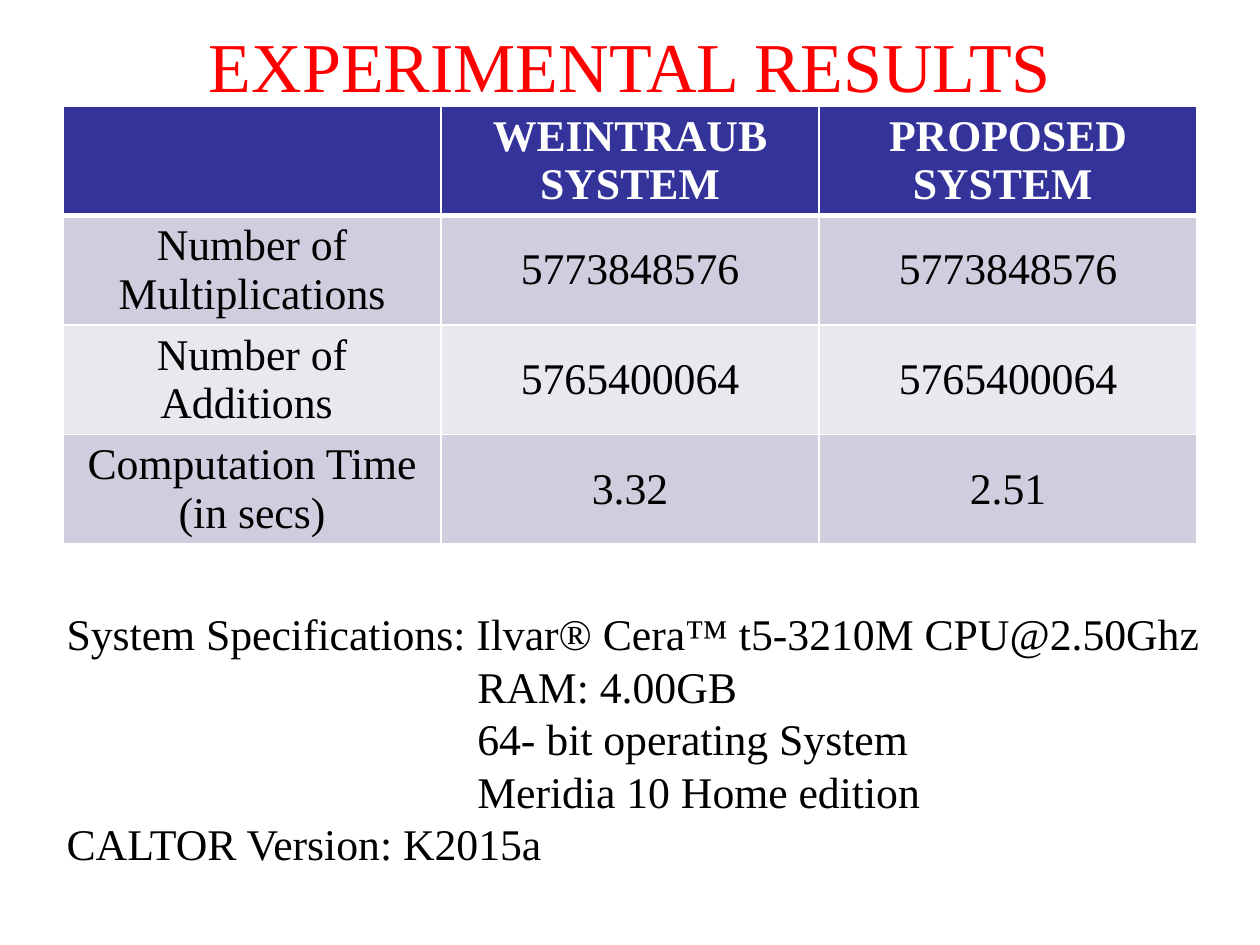
"""Build the experimental results slide with a comparison table and system details."""
from dataclasses import dataclass

from lxml import etree
from pptx import Presentation
from pptx import util as u
from pptx.dml import color as c
from pptx.enum import text
from pptx.oxml import ns


@dataclass(frozen=True)
class Theme:
    font: str = "Times New Roman"
    title_size: float = 40
    body_size: float = 25
    title: str = "FF0000"
    ink: str = "000000"
    white: str = "FFFFFF"
    header: str = "333399"
    bands: tuple = ("CECEDE", "E8E8EF")
    thin: float = 1
    thick: float = 3


def write(para, words, *, font, size, color, bold=False,
          align=text.PP_ALIGN.CENTER, indent=0):
    para.alignment = align
    if indent:
        properties = para._p.get_or_add_pPr()
        properties.set("marL", str(u.Inches(indent)))
        properties.set("indent", "0")
    span = para.add_run()
    span.text = words
    span.font.name = font
    span.font.size = u.Pt(size)
    span.font.bold = bold
    span.font.color.rgb = c.RGBColor.from_string(color)


class SlideBuilder:
    def __init__(self, page, theme):
        self.page = page
        self.theme = theme

    def title(self, words, left, top, width, height):
        box = self.page.shapes.title
        box.left, box.top = u.Inches(left), u.Inches(top)
        box.width, box.height = u.Inches(width), u.Inches(height)
        frame = box.text_frame
        frame.vertical_anchor = text.MSO_ANCHOR.MIDDLE
        write(frame.paragraphs[0], words, font=self.theme.font,
              size=self.theme.title_size, color=self.theme.title)

    def borders(self, cell, top, bottom):
        properties = cell._tc.get_or_add_tcPr()
        widths = {"L": self.theme.thin, "R": self.theme.thin, "T": top, "B": bottom}
        for side, width in widths.items():
            line = etree.SubElement(properties, ns.qn(f"a:ln{side}"), w=str(u.Pt(width)))
            fill = etree.SubElement(line, ns.qn("a:solidFill"))
            etree.SubElement(fill, ns.qn("a:srgbClr"), val=self.theme.white)

    def table(self, rows, left, top, width, row_height):
        theme = self.theme
        table = self.page.shapes.add_table(
            len(rows), len(rows[0]), u.Inches(left), u.Inches(top),
            u.Inches(width), u.Inches(row_height * len(rows))).table
        for row_number, row in enumerate(rows):
            header = row_number == 0
            fill = theme.header if header else theme.bands[(row_number - 1) % 2]
            for column_number, words in enumerate(row):
                cell = table.cell(row_number, column_number)
                self.borders(cell, theme.thick if row_number == 1 else theme.thin,
                             theme.thick if header else theme.thin)
                cell.fill.solid()
                cell.fill.fore_color.rgb = c.RGBColor.from_string(fill)
                cell.vertical_anchor = text.MSO_ANCHOR.MIDDLE
                if words:
                    write(cell.text_frame.paragraphs[0], words, font=theme.font,
                          size=theme.body_size, bold=header,
                          color=theme.white if header else theme.ink)

    def details(self, lines, left, top, width, height):
        box = self.page.shapes.add_textbox(
            u.Inches(left), u.Inches(top), u.Inches(width), u.Inches(height))
        frame = box.text_frame
        frame.word_wrap = True
        for number, (words, indent) in enumerate(lines):
            para = frame.add_paragraph() if number else frame.paragraphs[0]
            write(para, words, font=self.theme.font, size=self.theme.body_size,
                  color=self.theme.ink, align=text.PP_ALIGN.JUSTIFY, indent=indent)


def main():
    deck = Presentation()
    deck.slide_width, deck.slide_height = u.Inches(10), u.Inches(7.5)
    builder = SlideBuilder(deck.slides.add_slide(deck.slide_layouts[5]), Theme())
    builder.title("EXPERIMENTAL RESULTS", 0.5, -0.11, 9, 1.25)
    builder.table([
        ("", "WEINTRAUB SYSTEM", "PROPOSED SYSTEM "),
        ("Number of Multiplications", "5773848576", "5773848576"),
        ("Number of Additions ", "5765400064", "5765400064"),
        ("Computation Time (in secs)", "3.32", "2.51"),
    ], 0.5, 0.84, 9, 0.87)
    value_indent = 3.26
    builder.details([
        ("System Specifications: Ilvar® Cera™ t5-3210M CPU@2.50Ghz", 0),
        ("RAM: 4.00GB", value_indent),
        ("64- bit operating System", value_indent),
        ("Meridia 10 Home edition", value_indent),
        ("CALTOR Version: K2015a", 0),
    ], 0.43, 4.77, 9.31, 2.2)
    deck.save("out.pptx")


if __name__ == "__main__":
    main()
